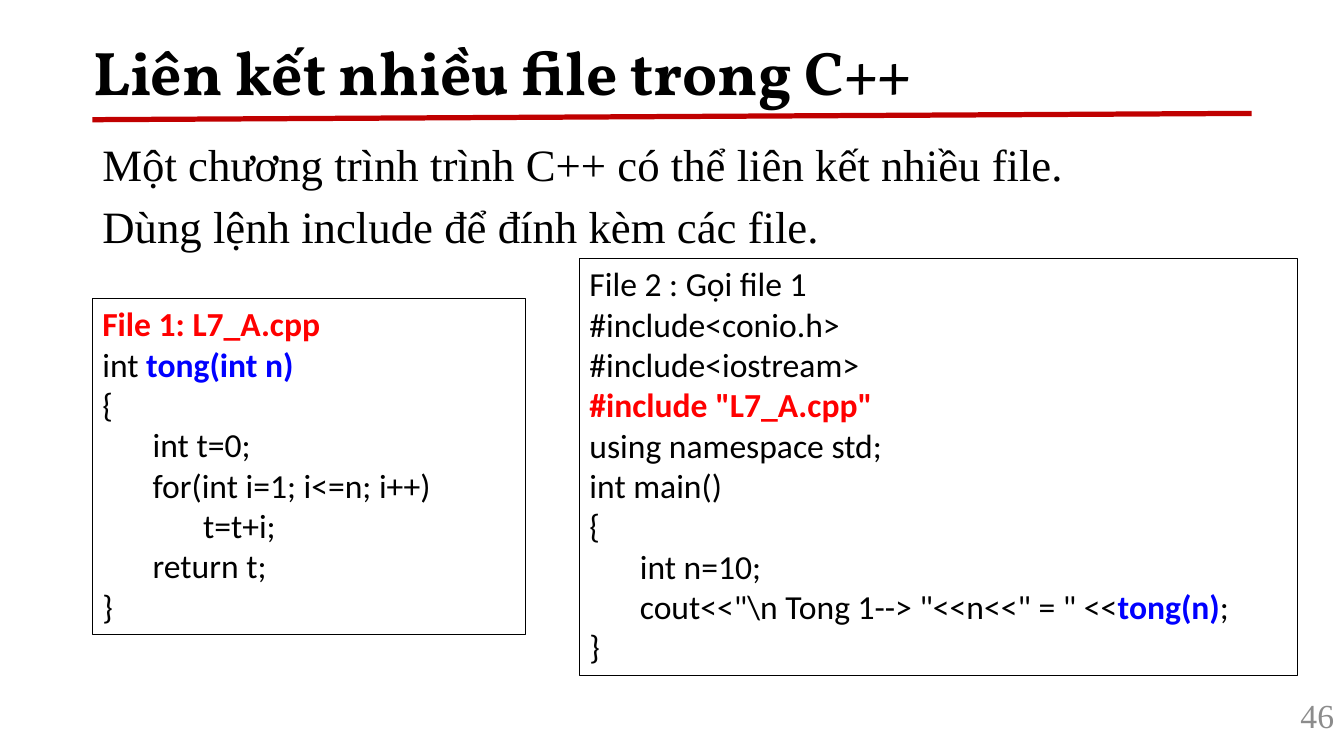
from pptx import Presentation
from pptx.dml.color import RGBColor
from pptx.enum.shapes import MSO_CONNECTOR
from pptx.enum.text import MSO_ANCHOR, MSO_AUTO_SIZE, PP_ALIGN
from pptx.oxml.ns import qn
from pptx.util import Pt
from lxml import etree

PX = 9525  # 96 px to the inch
BLACK = RGBColor(0x00, 0x00, 0x00)
RED = RGBColor(0xFF, 0x00, 0x00)
BLUE = RGBColor(0x00, 0x00, 0xFF)
DARK_RED = RGBColor(0xC0, 0x00, 0x00)
GRAY = RGBColor(0x8C, 0x8C, 0x8C)
LEFT, RIGHT = PP_ALIGN.LEFT, PP_ALIGN.RIGHT
TOP, MIDDLE = MSO_ANCHOR.TOP, MSO_ANCHOR.MIDDLE
STRAIGHT = MSO_CONNECTOR.STRAIGHT
NO_AUTOFIT = MSO_AUTO_SIZE.NONE
SERIF, SANS, TITLE_FONT = "Times New Roman", "Calibri", "Vollkorn"

# A line is a list of (text, accent) runs; an accent colour also makes the run bold.
FILE_1 = [
    [("File 1: L7_A.cpp", RED)],
    [("int ", None), ("tong(int n)", BLUE)],
    "{",
    "\tint t=0;",
    "\tfor(int i=1; i<=n; i++)",
    "\t\tt=t+i;",
    "\treturn t;",
    "}",
]
FILE_2 = [
    "File 2 : Gọi file 1",
    "#include<conio.h>",
    "#include<iostream>",
    [('#include "L7_A.cpp"', RED)],
    "using namespace std;",
    "int main()",
    "{",
    "\tint n=10;",
    [('\tcout<<"\\n Tong 1--> "<<n<<" = " <<', None), ("tong(n)", BLUE), (";", None)],
    "}",
]


def px(*lengths):
    return [length * PX for length in lengths]


def write(shape, lines, font=SANS, size=24, color=BLACK, bold=False,
          align=LEFT, anchor=TOP, line_spacing=1.0, gap=0):
    """Fill a shape with lines, each a string or a list of (text, accent) runs."""
    frame = shape.text_frame
    frame.word_wrap = True
    frame.auto_size = NO_AUTOFIT
    frame.vertical_anchor = anchor
    for index, line in enumerate(lines):
        paragraph = frame.add_paragraph() if index else frame.paragraphs[0]
        paragraph.alignment = align
        paragraph.line_spacing = line_spacing
        paragraph.space_before = Pt(gap if index else 0)
        for text, accent in [(line, None)] if isinstance(line, str) else line:
            run = paragraph.add_run()
            run.text = text
            run.font.name = font
            run.font.size = Pt(size)
            run.font.bold = bold or accent is not None
            run.font.color.rgb = accent or color


def add_text(slide, box, lines, **text_format):
    shape = slide.shapes.add_textbox(*px(*box))
    write(shape, lines, **text_format)
    return shape


def add_heading(slide, box):
    left, top, width, height = box
    title = slide.shapes.title
    title.left, title.top, title.width, title.height = px(*box)
    write(title, ["Liên kết nhiều file trong C++"], font=TITLE_FONT, size=44,
          bold=True, anchor=MIDDLE, line_spacing=0.9)
    bottom = top + height
    rule = slide.shapes.add_connector(
        STRAIGHT, *px(left + 9, bottom, left + 9 + width, bottom - 6))
    rule.line.color.rgb = DARK_RED
    rule.line.width = Pt(3.75)
    etree.SubElement(rule._element.spPr, qn("a:effectLst"))


def add_code(slide, box, lines):
    shape = add_text(slide, box, lines)
    shape.line.color.rgb = BLACK
    shape.line.width = Pt(0.75)


def main():
    presentation = Presentation()
    presentation.slide_width, presentation.slide_height = px(1280, 720)
    slide = presentation.slides.add_slide(presentation.slide_layouts[5])
    add_heading(slide, (79, 30, 1104, 84))
    add_text(slide, (88, 131, 1104, 570),
             ["Một chương trình trình C++ có thể liên kết nhiều file.",
              "Dùng lệnh include để đính kèm các file."],
             font=SERIF, size=32, line_spacing=0.9, gap=10)
    add_code(slide, (88, 284, 413, 320), FILE_1)
    add_code(slide, (552, 246, 684, 397), FILE_2)
    add_text(slide, (1204, 662, 76, 38), ["46"], font=SERIF, color=GRAY,
             align=RIGHT, anchor=MIDDLE)
    presentation.save("out.pptx")


if __name__ == "__main__":
    main()
